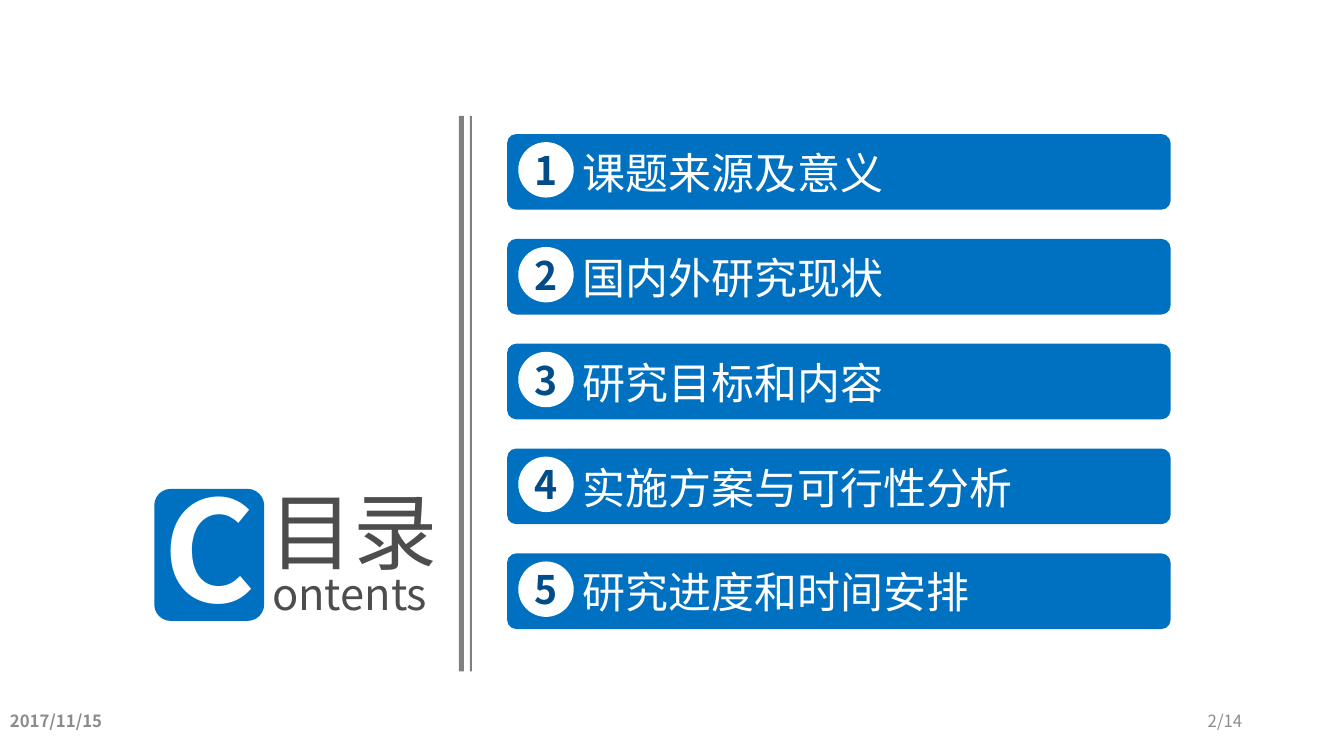
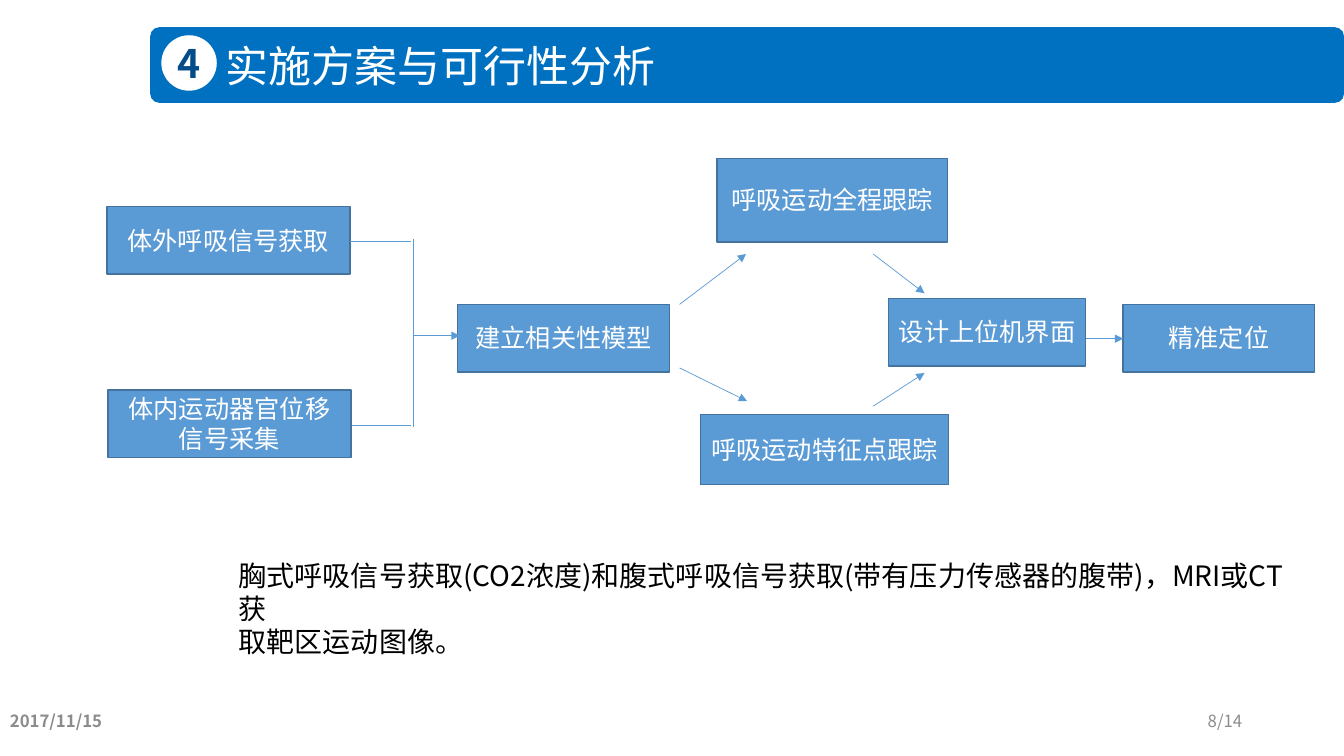
import pptx
import pptx.util
import pptx.dml.color
import pptx.enum.shapes
import pptx.enum.text
import pptx.oxml.ns
import lxml.etree
from dataclasses import dataclass

Inches = pptx.util.Inches
Pt = pptx.util.Pt
Shape = pptx.enum.shapes.MSO_SHAPE
Align = pptx.enum.text.PP_ALIGN
Anchor = pptx.enum.text.MSO_ANCHOR
qn = pptx.oxml.ns.qn


@dataclass(frozen=True)
class Theme:
    font: str = "Noto Sans CJK SC"
    band: str = "0070C0"
    digit: str = "024C89"
    white: str = "FFFFFF"
    black: str = "000000"
    dark: str = "4D4D4D"
    rule: str = "808080"
    foot: str = "8C8C8C"
    box: str = "5B9BD5"
    edge: str = "43739E"
    head_size: float = 30.7
    digit_size: float = 28
    body_size: float = 20
    box_size: float = 18
    foot_size: float = 12
    lead: float = 1.18


THEME = Theme()
TOPICS = ["课题来源及意义", "国内外研究现状", "研究目标和内容",
          "实施方案与可行性分析", "研究进度和时间安排"]
PAGES = 14

STEPS = [
    (Shape.FLOWCHART_PROCESS, "体外呼吸信号获取", 1.06, 2.05, 2.41, 0.67),
    (Shape.FLOWCHART_PROCESS, "体内运动器官位移信号采集", 1.07, 3.87, 2.41, 0.67),
    (Shape.FLOWCHART_PROCESS, "建立相关性模型", 4.54, 3.02, 2.1, 0.67),
    (Shape.RECTANGLE, "呼吸运动全程跟踪", 7.11, 1.57, 2.29, 0.83),
    (Shape.RECTANGLE, "呼吸运动特征点跟踪", 6.95, 4.11, 2.46, 0.7),
    (Shape.RECTANGLE, "设计上位机界面", 8.81, 2.96, 1.96, 0.67),
    (Shape.FLOWCHART_PROCESS, "精准定位", 11.14, 3.02, 1.9, 0.67),
]
LINES = [(3.47, 2.39, 4.08, 2.39), (3.49, 4.22, 4.08, 4.22),
         (4.1, 2.37, 4.1, 4.24)]
ARROWS = [(4.1, 3.33, 4.56, 3.33), (6.74, 3.02, 7.4, 2.52),
          (6.74, 3.65, 7.41, 3.98), (8.66, 2.52, 9.17, 2.91),
          (8.66, 4.03, 9.17, 3.7), (10.77, 3.36, 11.14, 3.36)]


def rgb(code):
    return pptx.dml.color.RGBColor.from_string(code)


def write(frame, text, size, color, bold=False, align=Align.LEFT,
          anchor=Anchor.MIDDLE, inset=(0.1, 0), wrap=True, lead=None):
    """Fill a text frame and format all its runs alike."""
    frame.text = text
    frame.auto_size = pptx.enum.text.MSO_AUTO_SIZE.NONE
    frame.word_wrap = wrap
    frame.vertical_anchor = anchor
    frame.margin_left = frame.margin_right = Inches(inset[0])
    frame.margin_top = frame.margin_bottom = Inches(inset[1])
    for para in frame.paragraphs:
        para.alignment = align
        if lead:
            para.line_spacing = Pt(size * lead)
        for run in para.runs:
            font = run.font
            font.name, font.size, font.bold = THEME.font, Pt(size), bold
            font.color.rgb = rgb(color)
            east = lxml.etree.SubElement(run._r.get_or_add_rPr(), qn("a:ea"))
            east.set("typeface", THEME.font)


def place(slide, kind, left, top, width, height, fill, edge=None):
    shape = slide.shapes.add_shape(
        kind, Inches(left), Inches(top), Inches(width), Inches(height))
    shape.shadow.inherit = False
    shape.fill.solid()
    shape.fill.fore_color.rgb = rgb(fill)
    if edge:
        shape.line.color.rgb = rgb(edge)
        shape.line.width = Pt(1)
    else:
        shape.line.fill.background()
    return shape


def label(slide, text, left, top, width, height, size, color, **style):
    box = slide.shapes.add_textbox(
        Inches(left), Inches(top), Inches(width), Inches(height))
    write(box.text_frame, text, size, color, **style)


def title(slide, text, left, top, width, height, size, color, **style):
    """Format the title placeholder and bring it to the front."""
    head = slide.shapes.title
    head.left, head.top = Inches(left), Inches(top)
    head.width, head.height = Inches(width), Inches(height)
    write(head.text_frame, text, size, color, **style)
    slide.shapes.element.append(head.element)


def band(slide, num, left, top, width, put):
    """Draw a numbered topic bar; put sets its words."""
    bar = place(slide, Shape.ROUNDED_RECTANGLE, left, top, width, 0.75,
                THEME.band)
    bar.adjustments[0] = 0.12
    disc = place(slide, Shape.OVAL, left + 0.11, top + 0.08, 0.55, 0.55,
                 THEME.white)
    write(disc.text_frame, str(num), THEME.digit_size, THEME.digit,
          bold=True, align=Align.CENTER, inset=(0, 0), wrap=False)
    put(slide, TOPICS[num - 1], left + 0.65, top + 0.07, 5.08, 0.62,
        THEME.head_size, THEME.white)


def line(slide, x1, y1, x2, y2, arrow=False):
    link = slide.shapes.add_connector(
        pptx.enum.shapes.MSO_CONNECTOR.STRAIGHT,
        Inches(x1), Inches(y1), Inches(x2), Inches(y2))
    link.line.color.rgb = rgb(THEME.box)
    link.line.width = Pt(0.5)
    if arrow:
        tail = lxml.etree.SubElement(link.line._get_or_add_ln(),
                                     qn("a:tailEnd"))
        tail.set("type", "triangle")
    lxml.etree.SubElement(link._element.spPr, qn("a:effectLst"))


def footer(slide, page):
    label(slide, "2017/11/15", 0, 6.95, 3, 0.4,
          THEME.foot_size, THEME.foot, bold=True)
    label(slide, f"{page}/{PAGES}", 9.42, 6.95, 3, 0.4,
          THEME.foot_size, THEME.foot, align=Align.RIGHT)


def contents(slide):
    tile = place(slide, Shape.ROUNDED_RECTANGLE, 1.53, 4.85, 1.09, 1.31,
                 THEME.band)
    tile.adjustments[0] = 0.15
    label(slide, "C", 1.53, 4.41, 1.09, 2.02, 100, THEME.white, bold=True,
          align=Align.CENTER, inset=(0, 0), wrap=False)
    title(slide, "目录", 2.67, 4.66, 1.8, 1.2, 60, THEME.dark,
          inset=(0, 0), wrap=False)
    label(slide, "ontents", 2.7, 5.56, 1.75, 0.64, 31, THEME.dark,
          inset=(0, 0), wrap=False)
    for left, width in ((4.55, 0.05), (4.66, 0.02)):
        place(slide, Shape.RECTANGLE, left, 1.15, width, 5.51, THEME.rule)
    for row in range(len(TOPICS)):
        band(slide, row + 1, 5.03, 1.33 + 1.04 * row, 6.58, label)
    footer(slide, 2)


def plan(slide):
    band(slide, 4, 1.49, 0.27, 11.84, title)
    for kind, text, *area in STEPS:
        step = place(slide, kind, *area, THEME.box, THEME.edge)
        write(step.text_frame, text, THEME.box_size, THEME.white,
              align=Align.CENTER, lead=THEME.lead)
    for ends in LINES:
        line(slide, *ends)
    for ends in ARROWS:
        line(slide, *ends, arrow=True)
    label(slide, "胸式呼吸信号获取(CO2浓度)和腹式呼吸信号获取(带有压力传感器的腹带)，"
          "MRI或CT获\n取靶区运动图像。", 2.27, 5.5, 10.75, 1.1,
          THEME.body_size, THEME.black, anchor=Anchor.TOP,
          inset=(0.1, 0.05), lead=THEME.lead)
    footer(slide, 8)


def main():
    deck = pptx.Presentation()
    deck.slide_width, deck.slide_height = Inches(13.33), Inches(7.5)
    for build in (contents, plan):
        build(deck.slides.add_slide(deck.slide_layouts[5]))
    deck.save("out.pptx")


if __name__ == "__main__":
    main()
